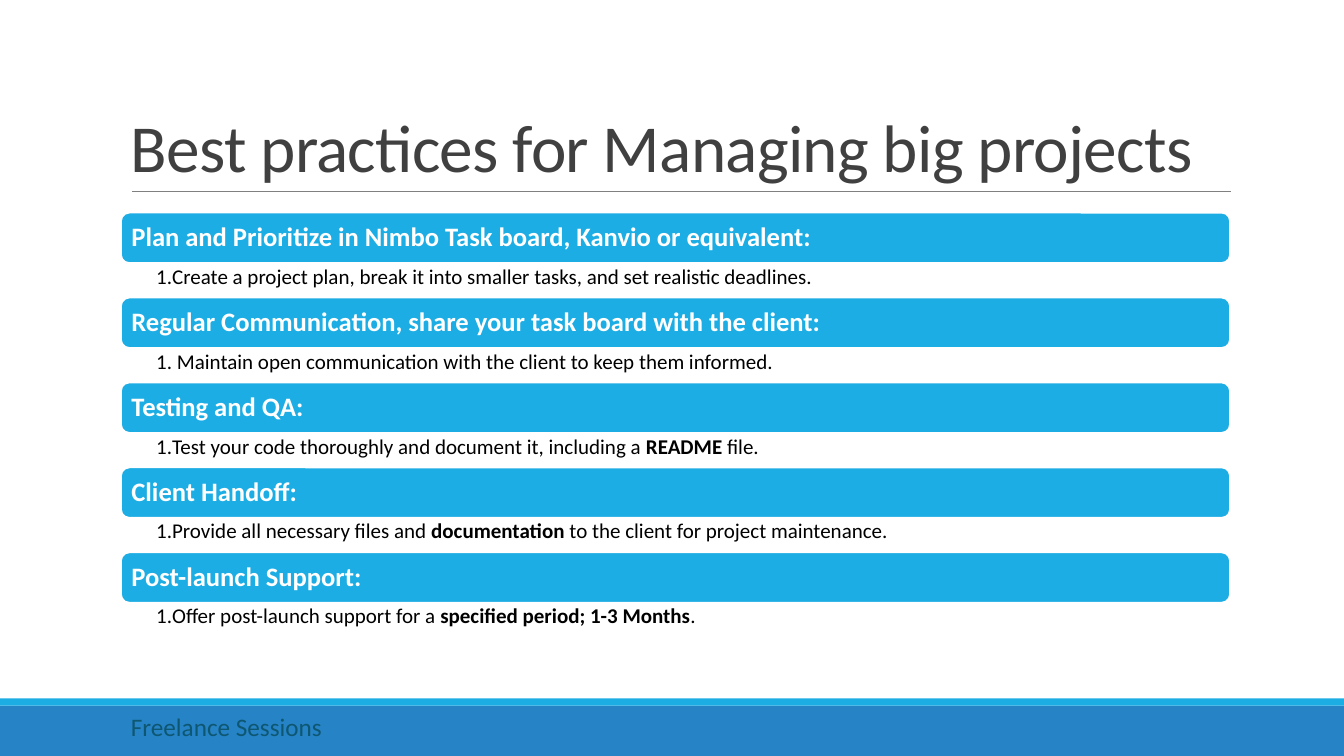
from dataclasses import dataclass

from lxml import etree
from pptx import Presentation
from pptx import util as u
from pptx.dml.color import RGBColor
from pptx.enum import shapes, text
from pptx.oxml import ns


@dataclass(frozen=True)
class Theme:
    font: str = "Calibri"
    accent: str = "1CADE4"
    footer_band: str = "2683C6"
    footer_text: str = "0E5772"
    title_text: str = "404040"
    rule: str = "808080"
    light: str = "FFFFFF"
    dark: str = "000000"
    title_size: float = 48
    heading_size: float = 19
    footer_size: float = 18
    detail_size: float = 15


class SlideBuilder:
    def __init__(self, slide, theme):
        self.slide = slide
        self.theme = theme

    def block(self, kind, left, top, width, height, fill, outline=None):
        shape = self.slide.shapes.add_shape(
            kind, u.Inches(left), u.Inches(top), u.Inches(width), u.Inches(height))
        shape.shadow.inherit = False
        shape.fill.solid()
        shape.fill.fore_color.rgb = RGBColor.from_string(fill)
        if outline:
            shape.line.color.rgb = RGBColor.from_string(outline)
            shape.line.width = u.Pt(1.25)
        else:
            shape.line.fill.background()
        return shape

    def rule(self, left, right, y):
        line = self.slide.shapes.add_connector(
            shapes.MSO_CONNECTOR.STRAIGHT,
            u.Inches(left), u.Inches(y), u.Inches(right), u.Inches(y))
        line.line.color.rgb = RGBColor.from_string(self.theme.rule)
        line.line.width = u.Pt(0.5)
        etree.SubElement(line._element.spPr, ns.qn("a:effectLst"))

    def set_text(self, shape, runs, size, color, bold=False, spacing=1.0,
                 anchor=text.MSO_ANCHOR.TOP, insets=(0.1, 0.05, 0.1, 0.05)):
        """Fill a shape with one paragraph; every second run is emphasised."""
        frame = shape.text_frame
        frame.word_wrap = True
        frame.vertical_anchor = anchor
        (frame.margin_left, frame.margin_top,
         frame.margin_right, frame.margin_bottom) = map(u.Inches, insets)
        paragraph = frame.paragraphs[0]
        paragraph.alignment = text.PP_ALIGN.LEFT
        paragraph.line_spacing = spacing
        for index, words in enumerate(runs):
            run = paragraph.add_run()
            run.text = words
            run.font.name = self.theme.font
            run.font.size = u.Pt(size)
            run.font.bold = bold or index % 2 == 1
            run.font.color.rgb = RGBColor.from_string(color)
        return paragraph

    def text_box(self, left, top, width, height, runs, size, color, **layout):
        box = self.slide.shapes.add_textbox(
            u.Inches(left), u.Inches(top), u.Inches(width), u.Inches(height))
        return self.set_text(box, runs, size, color, **layout)

    def title(self, left, top, width, height, words):
        paragraph = self.text_box(
            left, top, width, height, [words], self.theme.title_size,
            self.theme.title_text, spacing=0.85, anchor=text.MSO_ANCHOR.BOTTOM)
        paragraph.runs[0].font._element.set("spc", "-50")

    def heading_bar(self, left, top, width, height, words):
        bar = self.block(shapes.MSO_SHAPE.ROUNDED_RECTANGLE, left, top, width, height,
                         self.theme.accent, self.theme.light)
        self.set_text(bar, [words], self.theme.heading_size, self.theme.light, bold=True,
                      spacing=0.9, anchor=text.MSO_ANCHOR.MIDDLE, insets=(0.08,) * 4)

    def numbered_detail(self, left, top, width, height, runs):
        paragraph = self.text_box(
            left, top, width, height, runs, self.theme.detail_size, self.theme.dark,
            spacing=0.9, insets=(0.35, 0.03, 0.15, 0.03))
        properties = paragraph._p.get_or_add_pPr()
        properties.set("marL", str(u.Inches(0.12)))
        properties.set("indent", str(u.Inches(-0.12)))
        etree.SubElement(properties, ns.qn("a:buAutoNum"), type="arabicPeriod")


SLIDE_WIDTH, SLIDE_HEIGHT = 13.33, 7.5
LEFT, WIDTH = 1.2, 11
FIRST_TOP, LAST_TOP = 2.11, 5.48
BAR_HEIGHT, DETAIL_HEIGHT = 0.5, 0.34

PRACTICES = [
    ("Plan and Prioritize in Nimbo Task board, Kanvio or equivalent:",
     ["Create a project plan, break it into smaller tasks, and set realistic deadlines."]),
    ("Regular Communication, share your task board with the client:",
     [" Maintain open communication with the client to keep them informed."]),
    ("Testing and QA:",
     ["Test your code thoroughly and document it, including a ", "README", " file."]),
    ("Client Handoff:",
     ["Provide all necessary files and ", "documentation",
      " to the client for project maintenance."]),
    ("Post-launch Support:",
     ["Offer post-launch support for a ", "specified period; 1-3 Months", "."]),
]


def main():
    presentation = Presentation()
    presentation.slide_width = u.Inches(SLIDE_WIDTH)
    presentation.slide_height = u.Inches(SLIDE_HEIGHT)
    theme = Theme()
    builder = SlideBuilder(
        presentation.slides.add_slide(presentation.slide_layouts[6]), theme)

    rectangle = shapes.MSO_SHAPE.RECTANGLE
    builder.block(rectangle, 0, 7, SLIDE_WIDTH, 0.5, theme.footer_band)
    builder.block(rectangle, 0, 6.93, SLIDE_WIDTH, 0.07, theme.accent)
    builder.rule(1.31, 12.21, 1.9)
    builder.title(LEFT, 0.31, WIDTH, 1.59, "Best practices for Managing big projects")

    pitch = (LAST_TOP - FIRST_TOP) / (len(PRACTICES) - 1)
    for index, (heading, detail) in enumerate(PRACTICES):
        top = FIRST_TOP + index * pitch
        builder.heading_bar(LEFT, top, WIDTH, BAR_HEIGHT, heading)
        builder.numbered_detail(LEFT, top + BAR_HEIGHT, WIDTH, DETAIL_HEIGHT, detail)

    builder.text_box(LEFT, 7.01, 7.78, 0.4, ["Freelance Sessions"],
                     theme.footer_size, theme.footer_text)
    presentation.save("out.pptx")


if __name__ == "__main__":
    main()
